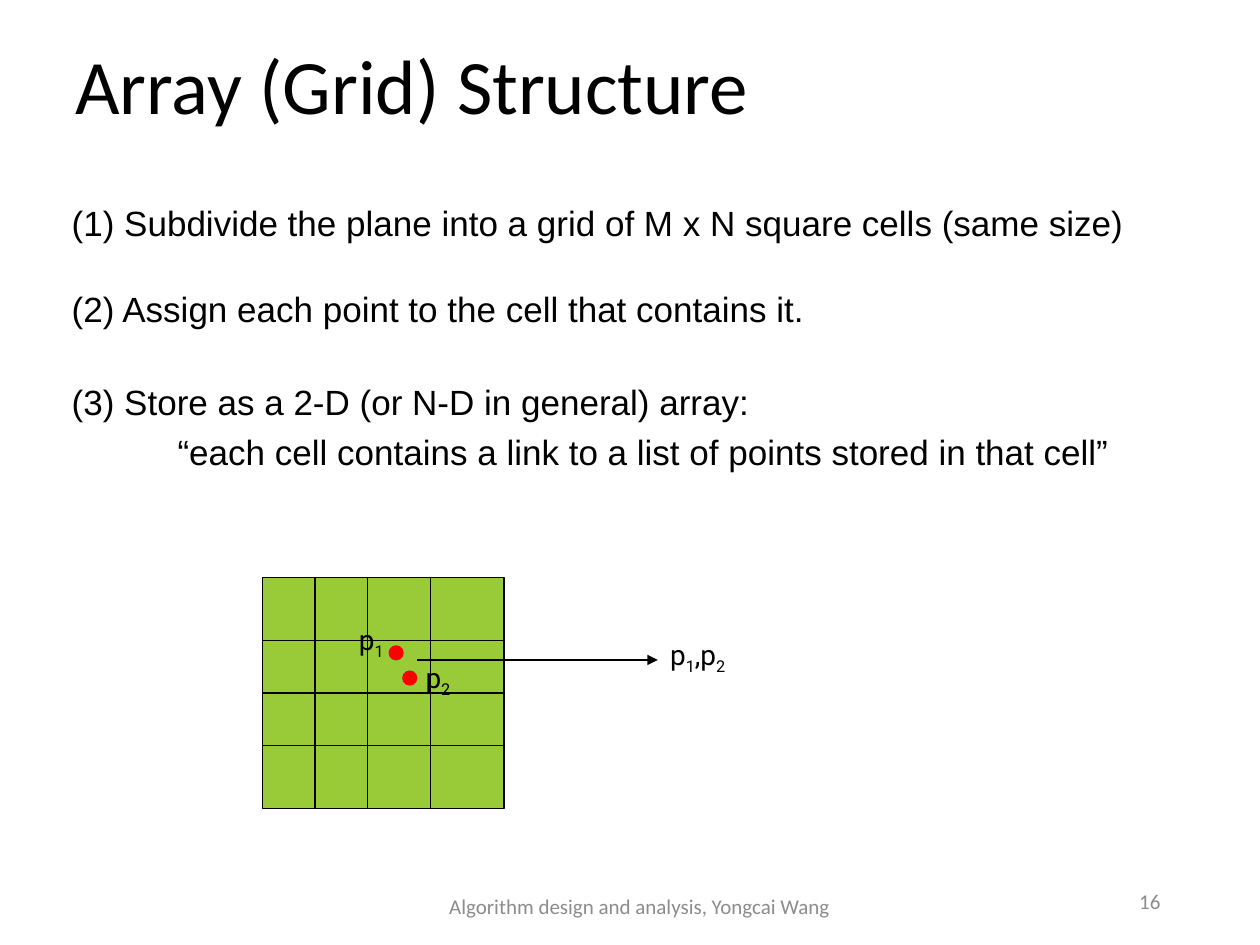
from dataclasses import dataclass

from lxml import etree
from pptx import Presentation
from pptx.dml.color import RGBColor
from pptx.enum.shapes import MSO_CONNECTOR, MSO_SHAPE
from pptx.enum.text import MSO_ANCHOR, PP_ALIGN
from pptx.oxml.ns import qn
from pptx.util import Emu, Inches, Pt

STRAIGHT = MSO_CONNECTOR.STRAIGHT
RECTANGLE, OVAL = MSO_SHAPE.RECTANGLE, MSO_SHAPE.OVAL
TOP, MIDDLE = MSO_ANCHOR.TOP, MSO_ANCHOR.MIDDLE
LEFT, CENTER, RIGHT = PP_ALIGN.LEFT, PP_ALIGN.CENTER, PP_ALIGN.RIGHT

BLACK, GRAY, GREEN, RED = "000000", "8C8C8C", "99CB38", "FF0000"

# The page is a grid of 240 columns by 180 rows, 24 to the inch.
UNIT = Inches(1) / 24
PAGE_COLUMNS, PAGE_ROWS = 240, 180

COLUMN_EDGES = (50, 60, 70, 82, 96)
ROW_EDGES = (110, 122, 132, 142, 154)
DOT_SIZE = 2.9


@dataclass(frozen=True)
class Area:
    column: float
    row: float
    columns: float
    rows: float

    def lengths(self) -> tuple[Emu, ...]:
        return tuple(map(units, (self.column, self.row, self.columns, self.rows)))


@dataclass(frozen=True)
class Style:
    font: str
    size: float
    color: str = BLACK
    align: PP_ALIGN = LEFT
    anchor: MSO_ANCHOR = TOP
    wrap: bool = True


@dataclass(frozen=True)
class Line:
    text: str
    space_before: float = 0
    indent: float = 0


TITLE = Style("Calibri", 44, anchor=MIDDLE)
BODY = Style("Arial", 20)
LABEL = Style("Roboto", 16, wrap=False)
FOOTER = Style("Calibri", 12, GRAY, CENTER, MIDDLE)
PAGE_NUMBER = Style("Calibri", 12, GRAY, RIGHT, MIDDLE)

STEPS = (
    Line("(1) Subdivide the plane into a grid of M x N square cells (same size)"),
    Line("(2) Assign each point to the cell that contains it.", 25),
    Line("(3) Store as a 2-D (or N-D in general) array:", 29),
    Line("“each cell contains a link to a list of points stored in that cell”", 5, 0.84),
)
POINT_LABELS = (
    (Area(125.3, 120.2, 16.3, 8.9), ("p1", ",p2")),
    (Area(66, 117.4, 9.8, 8.9), ("p1",)),
    (Area(78.7, 124.6, 9.8, 8.9), ("p2",)),
)
POINTS = ((76.6, 127.7), (74, 122.9))


def units(count: float) -> Emu:
    return Emu(round(count * UNIT))


def rgb(color: str) -> RGBColor:
    return RGBColor.from_string(color)


def add_text_box(page, area: Area, style: Style):
    box = page.shapes.add_textbox(*area.lengths())
    box.text_frame.word_wrap = style.wrap
    box.text_frame.vertical_anchor = style.anchor
    return box


def format_span(span, style: Style) -> None:
    span.font.name = style.font
    span.font.size = Pt(style.size)
    span.font.color.rgb = rgb(style.color)


def add_lines(page, area: Area, style: Style, *lines: Line):
    box = add_text_box(page, area, style)
    box.text_frame.text = "\n".join(line.text for line in lines)
    for para, line in zip(box.text_frame.paragraphs, lines):
        para.alignment = style.align
        para.space_before = Pt(line.space_before)
        if line.indent:
            para._p.get_or_add_pPr().set("marL", str(Inches(line.indent)))
        for span in para.runs:
            format_span(span, style)
    return box


def add_point_label(page, area: Area, names: tuple[str, ...]) -> None:
    """Write names whose last character is a subscript."""
    para = add_text_box(page, area, LABEL).text_frame.paragraphs[0]
    for name in names:
        for text, baseline in ((name[:-1], 0), (name[-1], -25)):
            span = para.add_run()
            span.text = text
            format_span(span, LABEL)
            span._r.get_or_add_rPr().set("baseline", f"{baseline}000")


def add_filled_shape(page, kind: MSO_SHAPE, area: Area, fill: str, outline: str = ""):
    shape = page.shapes.add_shape(kind, *area.lengths())
    shape.shadow.inherit = False
    shape.fill.solid()
    shape.fill.fore_color.rgb = rgb(fill)
    if outline:
        shape.line.color.rgb = rgb(outline)
        shape.line.width = Pt(0.75)
    else:
        shape.line.fill.background()


def add_line(page, start: tuple, end: tuple, arrow: bool = False) -> None:
    line = page.shapes.add_connector(STRAIGHT, *map(units, (*start, *end)))
    line.line.color.rgb = rgb(BLACK)
    line.line.width = Pt(0.75)
    if arrow:
        etree.SubElement(line.line._get_or_add_ln(), qn("a:tailEnd"), type="triangle")
    etree.SubElement(line._element.spPr, qn("a:effectLst"))


def add_cell_grid(page) -> None:
    left, *inner_columns, right = COLUMN_EDGES
    top, *inner_rows, bottom = ROW_EDGES
    area = Area(left, top, right - left, bottom - top)
    add_filled_shape(page, RECTANGLE, area, GREEN, BLACK)
    for column in inner_columns:
        add_line(page, (column, top), (column, bottom))
    for row in inner_rows:
        add_line(page, (left, row), (right, row))


def main() -> None:
    deck = Presentation()
    deck.slide_width, deck.slide_height = units(PAGE_COLUMNS), units(PAGE_ROWS)
    page = deck.slides.add_slide(deck.slide_layouts[6])

    title = add_lines(page, Area(12, 7.4, 216, 19.2), TITLE, Line("Array (Grid) Structure"))
    title.text_frame.paragraphs[0].line_spacing = 0.9
    add_lines(page, Area(11.3, 37.2, 217, 54.2), BODY, *STEPS)

    add_cell_grid(page)
    add_line(page, (79.4, 125.7), (125.3, 125.7), arrow=True)
    for area, names in POINT_LABELS:
        add_point_label(page, area, names)
    for column, row in POINTS:
        add_filled_shape(page, OVAL, Area(column, row, DOT_SIZE, DOT_SIZE), RED)

    footer = Line("Algorithm design and analysis, Yongcai Wang")
    add_lines(page, Area(76.6, 167.8, 90.5, 9.6), FOOTER, footer)
    add_lines(page, Area(169.4, 166.8, 54, 9.6), PAGE_NUMBER, Line("16"))
    deck.save("out.pptx")


if __name__ == "__main__":
    main()
